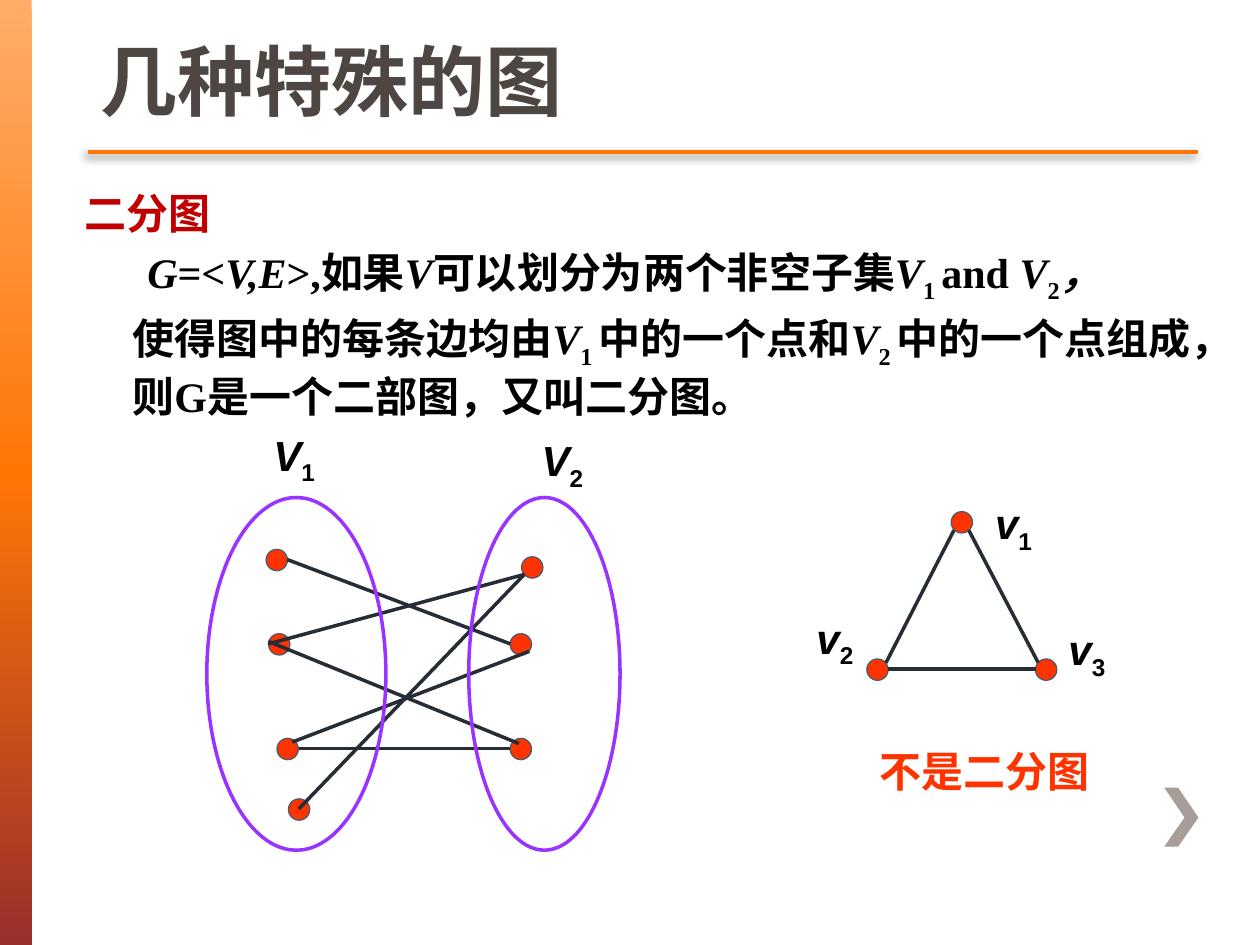
from lxml import etree
from pptx import Presentation
from pptx.dml.color import RGBColor
from pptx.enum.shapes import MSO_CONNECTOR, MSO_SHAPE
from pptx.enum.text import MSO_ANCHOR
from pptx.oxml import parse_xml
from pptx.oxml.ns import nsdecls, qn
from pptx.util import Cm, Pt

STRAIGHT = MSO_CONNECTOR.STRAIGHT
RECTANGLE, ELLIPSE = MSO_SHAPE.RECTANGLE, MSO_SHAPE.OVAL
NODE = MSO_SHAPE.FLOWCHART_CONNECTOR
TOP, BOTTOM = MSO_ANCHOR.TOP, MSO_ANCHOR.BOTTOM

COLORS = {
    "title": "4D4643", "heading": "C00000", "text": "000000", "node": "FF3300",
    "node_line": "4D5B6B", "edge": "262D36", "set": "9933FF",
    "accent": "FF7605", "chevron": "A79D99",
}
BAR_STOPS = [(0, "FFAD69"), (50, "FF7605"), (100, "9A2F2C")]

# Content: runs are (text, style); positions and sizes are in centimetres
TITLE = [[("几种特殊的图", "")]]
CAPTION = [[("不是二分图", "")]]
BODY = [
    [("二分图", "heading")],
    [("G", "italic"), ("=<", ""), ("V,E", "italic"), (">,如果", ""), ("V", "italic"),
     ("可以划分为两个非空子集", ""), ("V", "italic"), ("1 ", "sub"), ("and ", ""),
     ("V", "italic"), ("2", "sub"), ("，", "italic")],
    [("使得图中的每条边均由", ""), ("V", "italic"), ("1 ", "sub"), ("中的一个点和", ""),
     ("V", "italic"), ("2 ", "sub"),
     ("中的一个点组成，则G是一个二部图，又叫二分图。", "")],
]
BODY_INDENTS = [(0.97, -0.97), (0.97, 0.3), (0.97, 0)]  # left margin, first line

TRIANGLE = {
    "nodes": [(17.69, 13.5), (21.09, 13.5), (19.39, 10.53)],
    "edges": [(17.86, 13.36, 19.23, 10.69), (17.91, 13.49, 20.88, 13.49),
              (20.93, 13.36, 19.53, 10.69)],
    "sets": [],
    "labels": [("v", "1", 19.81, 9.91), ("v", "2", 16.21, 12.22),
               ("v", "3", 21.29, 12.45)],
}
BIPARTITE = {
    "nodes": [(5.58, 11.29), (5.63, 12.99), (5.8, 15.1), (6.03, 16.32),
              (10.73, 11.44), (10.5, 12.99), (10.5, 15.1)],
    "edges": [(10.67, 13.13, 5.89, 14.96), (6.02, 15.09, 10.29, 15.09),
              (10.46, 14.99, 5.41, 12.93), (5.41, 12.98, 10.57, 11.58),
              (10.29, 12.98, 5.79, 11.28), (10.57, 11.58, 6.02, 16.31)],
    "sets": [(4.17, 10.03, 3.61, 7.11), (9.45, 10.03, 3.05, 7.11)],
    "labels": [("V", "1", 5.26, 8.53), ("V", "2", 10.67, 8.64)],
}
NODE_SIZE = 0.43
LABEL_SIZE = (1.91, 1.27)
CHEVRON = [(23.75, 15.88), (23.47, 15.88), (23.88, 16.48), (23.47, 17.07),
           (23.75, 17.07), (24.16, 16.48)]


def color(name):
    return RGBColor.from_string(COLORS[name])


def add_text(shapes, box, paragraphs, font, size, color_name, anchor=TOP):
    shape = shapes.add_textbox(*map(Cm, box))
    frame = shape.text_frame
    frame.word_wrap = True
    frame.vertical_anchor = anchor
    for index, runs in enumerate(paragraphs):
        paragraph = frame.paragraphs[0] if index == 0 else frame.add_paragraph()
        paragraph.font.name, paragraph.font.size = font, Pt(size)
        paragraph.font.bold = True
        paragraph.font.color.rgb = color(color_name)
        for text, style in runs:
            run = paragraph.add_run()
            run.text = text
            if style == "italic":
                run.font.italic = True
            elif style == "sub":
                run.font._element.set("baseline", "-25000")
            elif style:
                run.font.color.rgb = color(style)
    return frame


def add_shape(shapes, kind, box, fill=None, line=None, width=0.75):
    shape = shapes.add_shape(kind, *map(Cm, box))
    shape.shadow.inherit = False
    if fill:
        shape.fill.solid()
        shape.fill.fore_color.rgb = color(fill)
    else:
        shape.fill.background()
    if line:
        shape.line.color.rgb = color(line)
        shape.line.width = Pt(width)
    else:
        shape.line.fill.background()
    return shape


def add_line(shapes, ends, color_name, width):
    connector = shapes.add_connector(STRAIGHT, *map(Cm, ends))
    connector.line.color.rgb = color(color_name)
    connector.line.width = Pt(width)
    return etree.SubElement(connector._element.spPr, qn("a:effectLst"))


def add_graph(shapes, graph):
    for x, y in graph["nodes"]:
        corner = (x - NODE_SIZE / 2, y - NODE_SIZE / 2)
        add_shape(shapes, NODE, (*corner, NODE_SIZE, NODE_SIZE), "node", "node_line")
    for ends in graph["edges"]:
        add_line(shapes, ends, "edge", 2)
    for box in graph["sets"]:
        add_shape(shapes, ELLIPSE, box, line="set", width=2)
    for letter, number, left, top in graph["labels"]:
        runs = [(letter, "italic"), (number, "sub")]
        add_text(shapes, (left, top, *LABEL_SIZE), [runs], "Arial", 24, "text")


presentation = Presentation()
presentation.slide_width, presentation.slide_height = Cm(25.4), Cm(19.05)
slide = presentation.slides.add_slide(presentation.slide_layouts[6])
shapes = slide.shapes

# Gradient side bar
bar = add_shape(shapes, RECTANGLE, (0, 0, 0.64, 19.05))
stops = "".join(f'<a:gs pos="{position * 1000}"><a:srgbClr val="{value}"/></a:gs>'
                for position, value in BAR_STOPS)
properties = bar._element.spPr
properties.replace(properties.find(qn("a:noFill")), parse_xml(
    f'<a:gradFill {nsdecls("a")}><a:gsLst>{stops}</a:gsLst>'
    '<a:lin ang="5400000" scaled="0"/></a:gradFill>'))

# Corner chevron
builder = shapes.build_freeform(Cm(CHEVRON[0][0]), Cm(CHEVRON[0][1]))
builder.add_line_segments([(Cm(x), Cm(y)) for x, y in CHEVRON[1:]], close=True)
chevron = builder.convert_to_shape()
chevron.shadow.inherit = False
chevron.fill.solid()
chevron.fill.fore_color.rgb = color("chevron")
chevron.line.fill.background()

# Title and its shadowed rule
effects = add_line(shapes, (1.78, 3.07, 24.16, 3.07), "accent", 2.5)
effects.append(parse_xml(
    f'<a:outerShdw {nsdecls("a")} blurRad="{Pt(5)}" dist="{Pt(3)}" dir="8100000">'
    '<a:srgbClr val="000000"><a:alpha val="45000"/></a:srgbClr></a:outerShdw>'))
add_text(shapes, (1.78, 0, 22.25, 2.67), TITLE, "Arial", 44, "title", BOTTOM)

# Definition
body = add_text(shapes, (1.45, 3.66, 23.09, 7.82), BODY, "Times New Roman", 24, "text")
for index, (margin, indent) in enumerate(BODY_INDENTS):
    paragraph = body.paragraphs[index]
    paragraph.space_before = Pt(5 if index else 0)
    paragraph._p.pPr.set("marL", str(Cm(margin)))
    paragraph._p.pPr.set("indent", str(Cm(indent)))

# Graphs
add_graph(shapes.add_group_shape().shapes, TRIANGLE)
add_text(shapes, (17.48, 14.91, 5.74, 1.4), CAPTION, "Times New Roman", 24, "node")
add_graph(shapes, BIPARTITE)

presentation.save("out.pptx")
